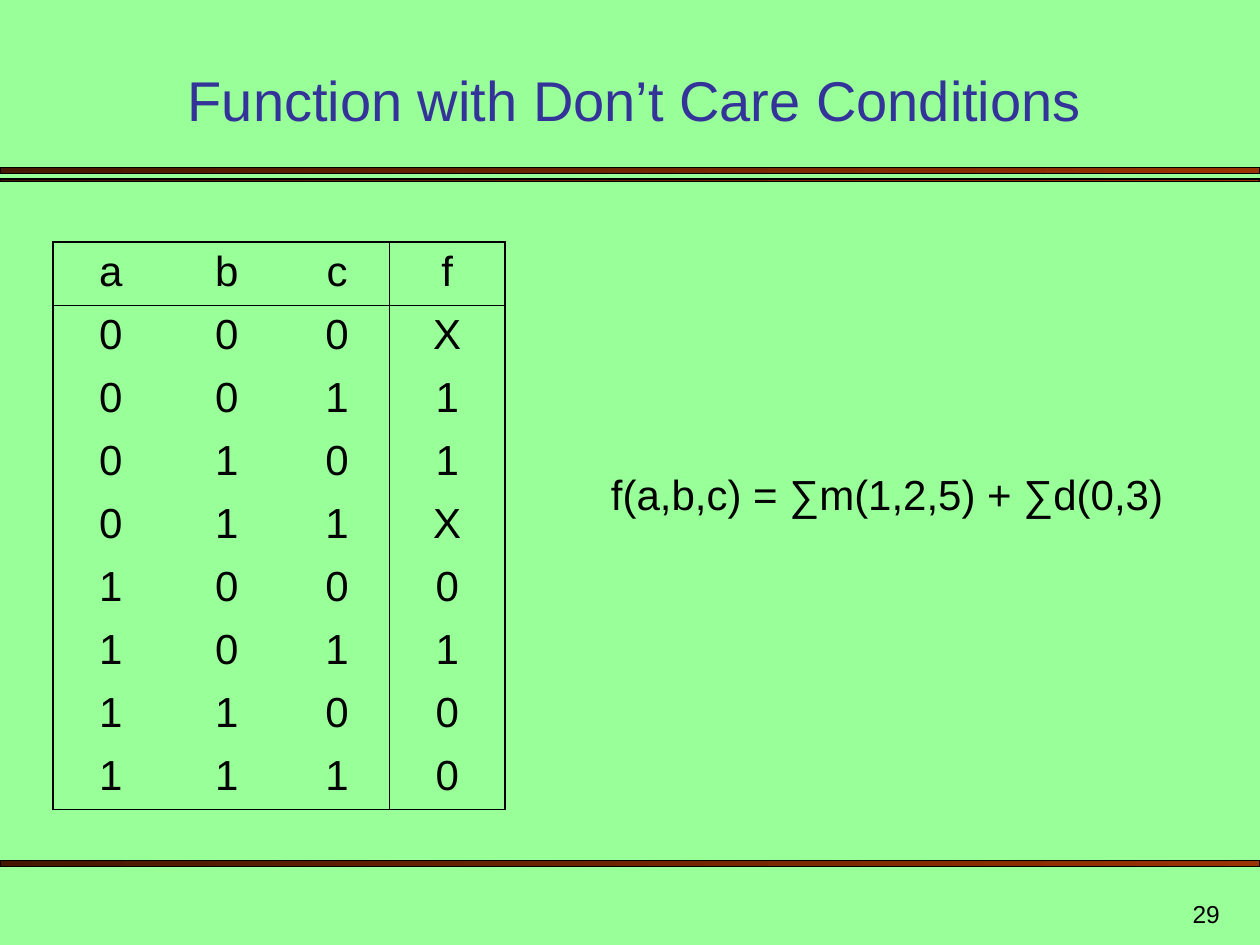
from dataclasses import dataclass

from lxml import etree
from pptx import Presentation
from pptx import util as u
from pptx.dml.color import RGBColor
from pptx.enum import shapes, text
from pptx.oxml import ns

COLORS = {
    "background": "99FF99",
    "title": "333399",
    "text": "000000",
    "bar_right": "993300",
    "bar_left": "461700",
}
FONT = "Arial"
OUTER, INNER = 1.08, 0.45  # table border widths in points


@dataclass
class Bar:
    top: float
    height: float


@dataclass
class Label:
    words: str
    box: tuple[float, float, float, float]
    size: int
    color: str = "text"
    align: text.PP_ALIGN = text.PP_ALIGN.LEFT
    anchor: text.MSO_ANCHOR = text.MSO_ANCHOR.TOP


BARS = [Bar(1.33, 0.05), Bar(1.42, 0.02), Bar(6.83, 0.05)]
LABELS = [
    Label("Function with Don’t Care Conditions", (0.58, 0.42, 8.92, 0.68), 32,
          "title", text.PP_ALIGN.CENTER, text.MSO_ANCHOR.BOTTOM),
    Label("f(a,b,c) = ∑m(1,2,5) + ∑d(0,3)", (4.75, 3.67, 4.92, 0.5), 24),
    Label("29", (7.7, 7, 2.08, 0.42), 14,
          align=text.PP_ALIGN.RIGHT, anchor=text.MSO_ANCHOR.BOTTOM),
]
OUTPUTS = "X11X0100"
TRUTH_TABLE = ["abcf"] + [f"{i:03b}{f}" for i, f in enumerate(OUTPUTS)]
COLUMN_WIDTHS = [0.92, 0.92, 0.83, 0.92]
ROW_HEIGHT = 0.5


def rgb(name: str) -> RGBColor:
    return RGBColor.from_string(COLORS[name])


def style(p, size: int, color: str, align: text.PP_ALIGN) -> None:
    p.alignment = align
    p.font.name = FONT
    p.font.size = u.Pt(size)
    p.font.color.rgb = rgb(color)


def draw_bar(s, bar: Bar) -> None:
    sp = s.shapes.add_shape(shapes.MSO_SHAPE.RECTANGLE, 0, u.Inches(bar.top),
                            u.Inches(10), u.Inches(bar.height))
    sp.shadow.inherit = False
    sp.fill.gradient()
    sp.fill.gradient_angle = 180
    for stop, name in zip(sp.fill.gradient_stops, ("bar_right", "bar_left")):
        stop.color.rgb = rgb(name)
    sp.line.color.rgb = rgb("text")
    sp.line.width = u.Pt(0.75)


def draw_label(s, label: Label) -> None:
    tf = s.shapes.add_textbox(*map(u.Inches, label.box)).text_frame
    tf.word_wrap = True
    tf.vertical_anchor = label.anchor
    p = tf.paragraphs[0]
    p.text = label.words
    style(p, label.size, label.color, label.align)


def set_border(cell, side: str, width: float) -> None:
    """Draw one cell edge; a width of zero hides it."""
    ln = etree.SubElement(cell._tc.get_or_add_tcPr(), ns.qn(f"a:ln{side}"),
                          w=str(int(u.Pt(width))))
    if width:
        fill = etree.SubElement(ln, ns.qn("a:solidFill"))
        etree.SubElement(fill, ns.qn("a:srgbClr"), val=COLORS["text"])
    else:
        etree.SubElement(ln, ns.qn("a:noFill"))


def draw_table(s, rows: list[str], left: float, top: float) -> None:
    last_row, last_col = len(rows) - 1, len(COLUMN_WIDTHS) - 1
    table = s.shapes.add_table(
        len(rows), len(COLUMN_WIDTHS), u.Inches(left), u.Inches(top),
        u.Inches(sum(COLUMN_WIDTHS)), u.Inches(ROW_HEIGHT * len(rows))).table
    table.first_row = table.horz_banding = False
    for column, width in zip(table.columns, COLUMN_WIDTHS):
        column.width = u.Inches(width)
    for r, values in enumerate(rows):
        table.rows[r].height = u.Inches(ROW_HEIGHT)
        for c, value in enumerate(values):
            cell = table.cell(r, c)
            p = cell.text_frame.paragraphs[0]
            p.text = value
            style(p, 24, "text", text.PP_ALIGN.CENTER)
            # Outer frame, a rule under the header and one before f
            borders = {
                "L": {0: OUTER, last_col: INNER}.get(c, 0),
                "R": {last_col - 1: INNER, last_col: OUTER}.get(c, 0),
                "T": {0: OUTER, 1: INNER}.get(r, 0),
                "B": {0: INNER, last_row: OUTER}.get(r, 0),
            }
            for side, width in borders.items():
                set_border(cell, side, width)
            cell.fill.background()


def main() -> None:
    prs = Presentation()
    prs.slide_width, prs.slide_height = u.Inches(10), u.Inches(7.5)
    s = prs.slides.add_slide(prs.slide_layouts[6])
    s.background.fill.solid()
    s.background.fill.fore_color.rgb = rgb("background")

    # Divider bars
    for bar in BARS:
        draw_bar(s, bar)
    # Title, formula and page number
    for label in LABELS:
        draw_label(s, label)
    # Truth table
    draw_table(s, TRUTH_TABLE, 0.42, 1.92)

    prs.save("out.pptx")


if __name__ == "__main__":
    main()
